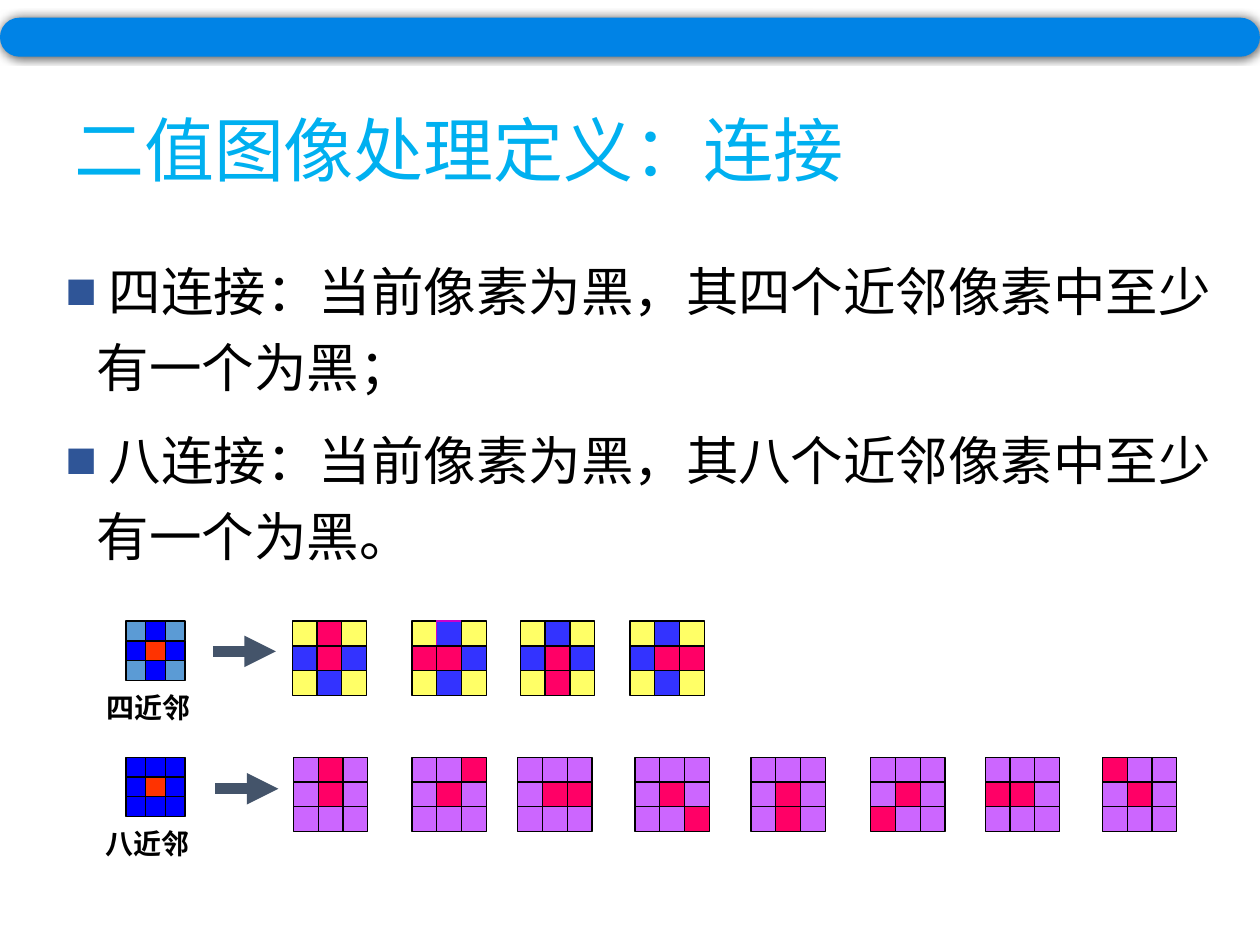
"""Build the slide that defines four- and eight-connectivity in binary images."""
from typing import NamedTuple

import pptx
import pptx.dml.color
import pptx.enum.shapes
import pptx.enum.text
import pptx.oxml
import pptx.oxml.ns
import pptx.util
from lxml import etree

Inches = pptx.util.Inches
Pt = pptx.util.Pt
RGBColor = pptx.dml.color.RGBColor
MSO_SHAPE = pptx.enum.shapes.MSO_SHAPE
qn = pptx.oxml.ns.qn

SANS, SERIF = "Noto Sans CJK SC", "Times New Roman"
BLACK = RGBColor(0x00, 0x00, 0x00)
BAR_BLUE = RGBColor(0x00, 0x83, 0xE6)
TITLE_BLUE = RGBColor(0x00, 0xB0, 0xF0)
BULLET_BLUE = RGBColor(0x2F, 0x55, 0x97)
SLATE = RGBColor(0x44, 0x54, 0x6A)
MAGENTA = RGBColor(0xCC, 0x00, 0xCC)
CELL_COLORS = {
    "s": RGBColor(0x5B, 0x9B, 0xD5),
    "b": RGBColor(0x00, 0x00, 0xFF),
    "o": RGBColor(0xFF, 0x33, 0x00),
    "y": RGBColor(0xFF, 0xFF, 0x66),
    "v": RGBColor(0x33, 0x33, 0xFF),
    "r": RGBColor(0xFF, 0x00, 0x66),
    "p": RGBColor(0xCC, 0x66, 0xFF),
}
CENTER = 4
KEY_SIDE, PATTERN_SIDE = 0.47, 0.59


class Font(NamedTuple):
    name: str
    size: float
    color: RGBColor
    bold: bool = False


class Pattern(NamedTuple):
    left: float
    neighbor: int
    outlined: int | None = None


class Row(NamedTuple):
    top: float
    key_cells: str
    label: str
    label_left: float
    arrow_left: float
    arrow_y: float
    cells: str
    patterns: list[Pattern]


ROWS = [
    Row(4.93, "sbsbobsbs", "四近邻", 0.75, 1.69, 5.17, "yvyvrvyvy",
        [Pattern(2.32, 1), Pattern(3.27, 3, 1), Pattern(4.13, 7), Pattern(5, 5)]),
    Row(6.01, "bbbbobbbb", "八近邻", 0.74, 1.71, 6.26, "pppprpppp",
        [Pattern(2.33, 1), Pattern(3.27, 2), Pattern(4.11, 5), Pattern(5.04, 8),
         Pattern(5.96, 7), Pattern(6.91, 6), Pattern(7.82, 3), Pattern(8.75, 0)]),
]
DEFINITIONS = [
    " 四连接：当前像素为黑，其四个近邻像素中至少有一个为黑；",
    " 八连接：当前像素为黑，其八个近邻像素中至少有一个为黑。",
]


def add_run(p, text: str, font: Font) -> None:
    r = p.add_run()
    r.text = text
    r.font.name = font.name
    r.font.size = Pt(font.size)
    r.font.bold = font.bold
    r.font.color.rgb = font.color
    ea = etree.SubElement(r.font._element, qn("a:ea"))
    ea.set("typeface", SANS)


def add_text_frame(shapes, left: float, top: float, width: float, height: float):
    sp = shapes.add_textbox(Inches(left), Inches(top), Inches(width), Inches(height))
    tf = sp.text_frame
    tf.word_wrap = True
    return tf


def add_bullet(p) -> None:
    pPr = p._p.get_or_add_pPr()
    pPr.set("marL", str(Inches(0.25)))
    pPr.set("indent", str(-Inches(0.25)))
    color = etree.SubElement(pPr, qn("a:buClr"))
    etree.SubElement(color, qn("a:srgbClr")).set("val", str(BULLET_BLUE))
    etree.SubElement(pPr, qn("a:buFont")).set("typeface", SERIF)
    etree.SubElement(pPr, qn("a:buChar")).set("char", "■")


def add_grid(shapes, left: float, top: float, side: float, cells: str,
             outlined: int | None = None):
    group = shapes.add_group_shape()
    pitch = side / 3
    for i, code in enumerate(cells):
        row, col = divmod(i, 3)
        sp = group.shapes.add_shape(
            MSO_SHAPE.RECTANGLE, Inches(left + col * pitch), Inches(top + row * pitch),
            Inches(pitch), Inches(pitch))
        sp.shadow.inherit = False
        sp.fill.solid()
        sp.fill.fore_color.rgb = CELL_COLORS[code]
        sp.line.color.rgb = MAGENTA if i == outlined else BLACK
        sp.line.width = Pt(0.75)
    return group


def add_arrow(shapes, left: float, y: float) -> None:
    line = shapes.add_connector(
        pptx.enum.shapes.MSO_CONNECTOR.STRAIGHT,
        Inches(left), Inches(y), Inches(left + 0.5), Inches(y))
    line.line.color.rgb = SLATE
    line.line.width = Pt(6)
    etree.SubElement(line.line._get_or_add_ln(), qn("a:tailEnd")).set("type", "triangle")
    etree.SubElement(line._element.spPr, qn("a:effectLst"))


def add_row(shapes, row: Row) -> None:
    key = add_grid(shapes, 1, row.top, KEY_SIDE, row.key_cells)
    tf = add_text_frame(key.shapes, row.label_left, row.top + 0.5, 0.95, 0.37)
    add_run(tf.paragraphs[0], row.label, Font(SERIF, 16, BLACK, True))
    add_arrow(shapes, row.arrow_left, row.arrow_y)
    for pattern in row.patterns:
        cells = "".join("r" if i in (CENTER, pattern.neighbor) else code
                        for i, code in enumerate(row.cells))
        add_grid(shapes, pattern.left, row.top, PATTERN_SIDE, cells, pattern.outlined)


def add_bar(shapes) -> None:
    sp = shapes.add_shape(MSO_SHAPE.ROUNDED_RECTANGLE,
                          Inches(0), Inches(0.14), Inches(10), Inches(0.31))
    sp.adjustments[0] = 0.5
    sp.fill.solid()
    sp.fill.fore_color.rgb = BAR_BLUE
    sp.line.fill.background()
    sp.shadow.inherit = False
    effects = sp._element.spPr.find(qn("a:effectLst"))
    shadow = etree.SubElement(effects, qn("a:outerShdw"), blurRad=str(Pt(5)), dist="0", dir="0")
    color = etree.SubElement(shadow, qn("a:srgbClr"), val=str(BLACK))
    etree.SubElement(color, qn("a:alpha"), val="60000")


def main() -> None:
    prs = pptx.Presentation()
    prs.slide_width, prs.slide_height = Inches(10), Inches(7.5)
    shapes = prs.slides.add_slide(prs.slide_layouts[6]).shapes

    tf = add_text_frame(shapes, 0.42, 1.91, 9.33, 2.92)
    for i, definition in enumerate(DEFINITIONS):
        p = tf.add_paragraph() if i else tf.paragraphs[0]
        p.line_spacing = 1.2
        p.space_before = Pt(10)
        add_bullet(p)
        add_run(p, definition, Font(SANS, 30, BLACK))

    for row in ROWS:
        add_row(shapes, row)
    add_bar(shapes)

    tf = add_text_frame(shapes, 0.49, 0.82, 8.25, 0.8)
    tf.vertical_anchor = pptx.enum.text.MSO_ANCHOR.MIDDLE
    p = tf.paragraphs[0]
    p.line_spacing = 0.9
    add_run(p, "二值图像处理定义：连接", Font(SANS, 40, TITLE_BLUE))

    prs.save("out.pptx")


if __name__ == "__main__":
    main()
